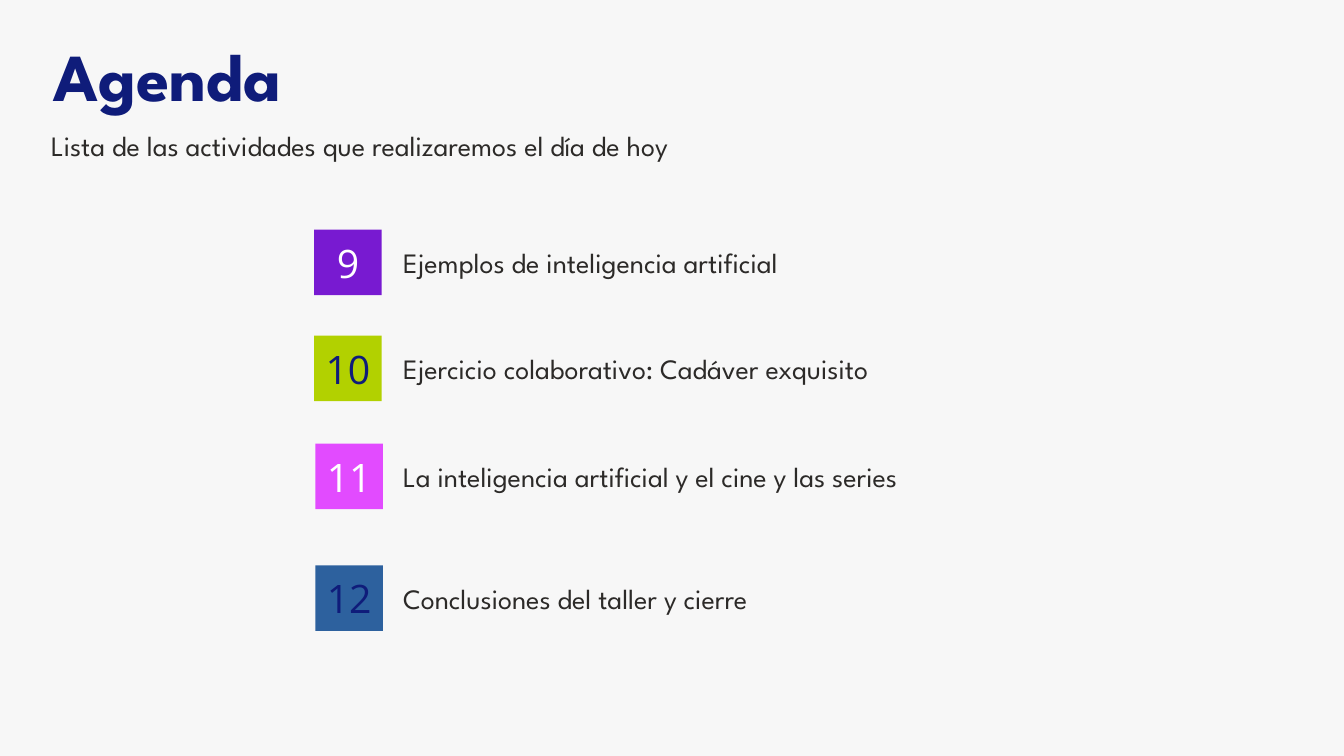
import pptx
import pptx.dml.color
import pptx.enum.shapes
import pptx.enum.text
import pptx.util
from pptx.util import Cm

COLORS = {
    "background": "F7F7F7",
    "navy": "0F1C7A",
    "ink": "2C2A28",
    "white": "FFFFFF",
    "purple": "781AD1",
    "lime": "B2D100",
    "pink": "E24BFF",
    "blue": "2D619E",
}
HEADING_FONT = "League Spartan"
NUMBER_FONT = "Open Sans"
ACTIVITIES = [
    ("9", "Ejemplos de inteligencia artificial", 7.92, 5.79, "purple", "white"),
    ("10", "Ejercicio colaborativo: Cadáver exquisito", 7.92, 8.46, "lime", "navy"),
    ("11", "La inteligencia artificial y el cine y las series", 7.95, 11.18, "pink", "white"),
    ("12", "Conclusiones del taller y cierre", 7.95, 14.25, "blue", "navy"),
]


def rgb(name):
    return pptx.dml.color.RGBColor.from_string(COLORS[name])


def write(frame, text, *, size=20, font=HEADING_FONT, color="ink", bold=False,
          align=pptx.enum.text.PP_ALIGN.LEFT,
          anchor=pptx.enum.text.MSO_ANCHOR.TOP, inset=0.13):
    frame.word_wrap = True
    frame.vertical_anchor = anchor
    frame.margin_left = frame.margin_right = Cm(0.25)
    frame.margin_top = frame.margin_bottom = Cm(inset)
    paragraph = frame.paragraphs[0]
    paragraph.alignment = align
    run = paragraph.add_run()
    run.text = text
    run.font.size = pptx.util.Pt(size)
    run.font.name = font
    run.font.bold = bold
    run.font.color.rgb = rgb(color)


def add_label(slide, text, left, top, width=20.19, height=1.12, **style):
    label = slide.shapes.add_textbox(Cm(left), Cm(top), Cm(width), Cm(height))
    write(label.text_frame, text, **style)


def add_badge(slide, number, left, top, fill, color):
    badge = slide.shapes.add_shape(pptx.enum.shapes.MSO_SHAPE.RECTANGLE,
                                   Cm(left), Cm(top), Cm(1.7), Cm(1.65))
    badge.shadow.inherit = False
    badge.fill.solid()
    badge.fill.fore_color.rgb = rgb(fill)
    badge.line.fill.background()
    write(badge.text_frame, number, size=28, font=NUMBER_FONT, color=color,
          align=pptx.enum.text.PP_ALIGN.CENTER,
          anchor=pptx.enum.text.MSO_ANCHOR.MIDDLE, inset=0.25)


def main():
    deck = pptx.Presentation()
    deck.slide_width, deck.slide_height = Cm(33.87), Cm(19.05)
    agenda = deck.slides.add_slide(deck.slide_layouts[6])
    agenda.background.fill.solid()
    agenda.background.fill.fore_color.rgb = rgb("background")

    add_label(agenda, "Agenda", 1.09, 1.07, 20.85, 1.6, size=48, color="navy",
              bold=True, anchor=pptx.enum.text.MSO_ANCHOR.MIDDLE, inset=0.25)
    add_label(agenda, "Lista de las actividades que realizaremos el día de hoy", 1.04, 3.1)
    for number, activity, left, top, fill, color in ACTIVITIES:
        add_badge(agenda, number, left, top, fill, color)
        add_label(agenda, activity, 9.91, top + 0.27)

    deck.save("out.pptx")


if __name__ == "__main__":
    main()
